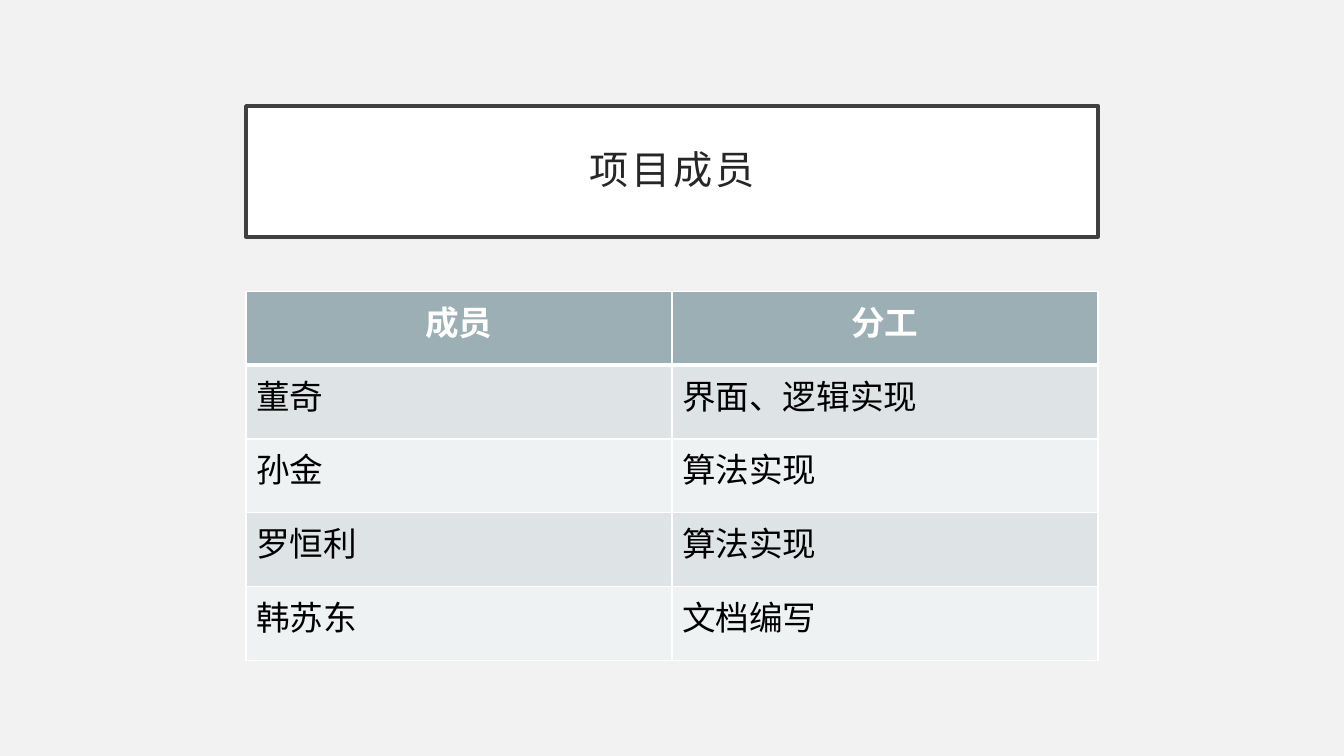
"""Build the project members slide: a framed title above a table of roles."""
from dataclasses import dataclass

from lxml import etree
from pptx import Presentation
from pptx.dml.color import RGBColor
from pptx.enum.text import MSO_ANCHOR, MSO_AUTO_SIZE, PP_ALIGN
from pptx.oxml.ns import qn
from pptx.util import Cm, Pt

CENTER, LEFT = PP_ALIGN.CENTER, PP_ALIGN.LEFT
MIDDLE = MSO_ANCHOR.MIDDLE
NO_AUTOFIT = MSO_AUTO_SIZE.NONE
TITLE_ONLY = 5


@dataclass(frozen=True)
class Theme:
    font: str = "Calibri"
    page: str = "F2F2F2"
    white: str = "FFFFFF"
    frame: str = "404040"
    title: str = "262626"
    header: str = "9BAFB5"
    bands: tuple = ("DEE3E5", "EFF2F3")
    body: str = "000000"
    title_size: int = 28
    table_size: int = 24


theme = Theme()


def add_span(para, text, size, color, bold=False):
    """Add one formatted run to a paragraph."""
    span = para.add_run()
    span.text = text
    span.font.name = theme.font
    span.font.size = Pt(size)
    span.font.bold = bold
    span.font.color.rgb = RGBColor.from_string(color)
    return span


def add_border(cell, side, points):
    """Draw one white edge of a table cell."""
    edge = etree.SubElement(cell._tc.get_or_add_tcPr(), qn(f"a:ln{side}"), w=str(Pt(points)))
    fill = etree.SubElement(edge, qn("a:solidFill"))
    etree.SubElement(fill, qn("a:srgbClr"), val=theme.white)


deck = Presentation()
deck.slide_width, deck.slide_height = Cm(33.87), Cm(19.05)
page = deck.slides.add_slide(deck.slide_layouts[TITLE_ONLY])
page.background.fill.solid()
page.background.fill.fore_color.rgb = RGBColor.from_string(theme.page)

left, width = Cm(6.2), Cm(21.47)

title = page.shapes.title
title.left, title.top, title.width, title.height = left, Cm(2.67), width, Cm(3.3)
title.fill.solid()
title.fill.fore_color.rgb = RGBColor.from_string(theme.white)
title.line.color.rgb = RGBColor.from_string(theme.frame)
title.line.width = Pt(2.5)
frame = title.text_frame
frame.word_wrap = True
frame.auto_size = NO_AUTOFIT
frame.vertical_anchor = MIDDLE
frame.margin_left = frame.margin_right = frame.margin_top = frame.margin_bottom = Cm(0.5)
para = frame.paragraphs[0]
para.alignment = CENTER
para.line_spacing = 0.9
span = add_span(para, "项目成员", theme.title_size, theme.title)
span.font._element.set("spc", "200")

members = [
    ("成员", "分工"),
    ("董奇", "界面、逻辑实现"),
    ("孙金", "算法实现"),
    ("罗恒利", "算法实现"),
    ("韩苏东", "文档编写"),
]
row_height = Cm(1.86)
table = page.shapes.add_table(
    len(members), len(members[0]), left, Cm(7.34), width, row_height * len(members)
).table

for row_index, member in enumerate(members):
    table.rows[row_index].height = row_height
    is_header = row_index == 0
    fill_color = theme.header if is_header else theme.bands[(row_index - 1) % 2]
    for column_index, text in enumerate(member):
        cell = table.cell(row_index, column_index)
        edges = {"L": 1, "R": 1, "T": 3 if row_index == 1 else 1, "B": 3 if is_header else 1}
        for side, points in edges.items():
            add_border(cell, side, points)
        cell.fill.solid()
        cell.fill.fore_color.rgb = RGBColor.from_string(fill_color)
        para = cell.text_frame.paragraphs[0]
        para.alignment = CENTER if is_header else LEFT
        text_color = theme.white if is_header else theme.body
        add_span(para, text, theme.table_size, text_color, is_header)

deck.save("out.pptx")
